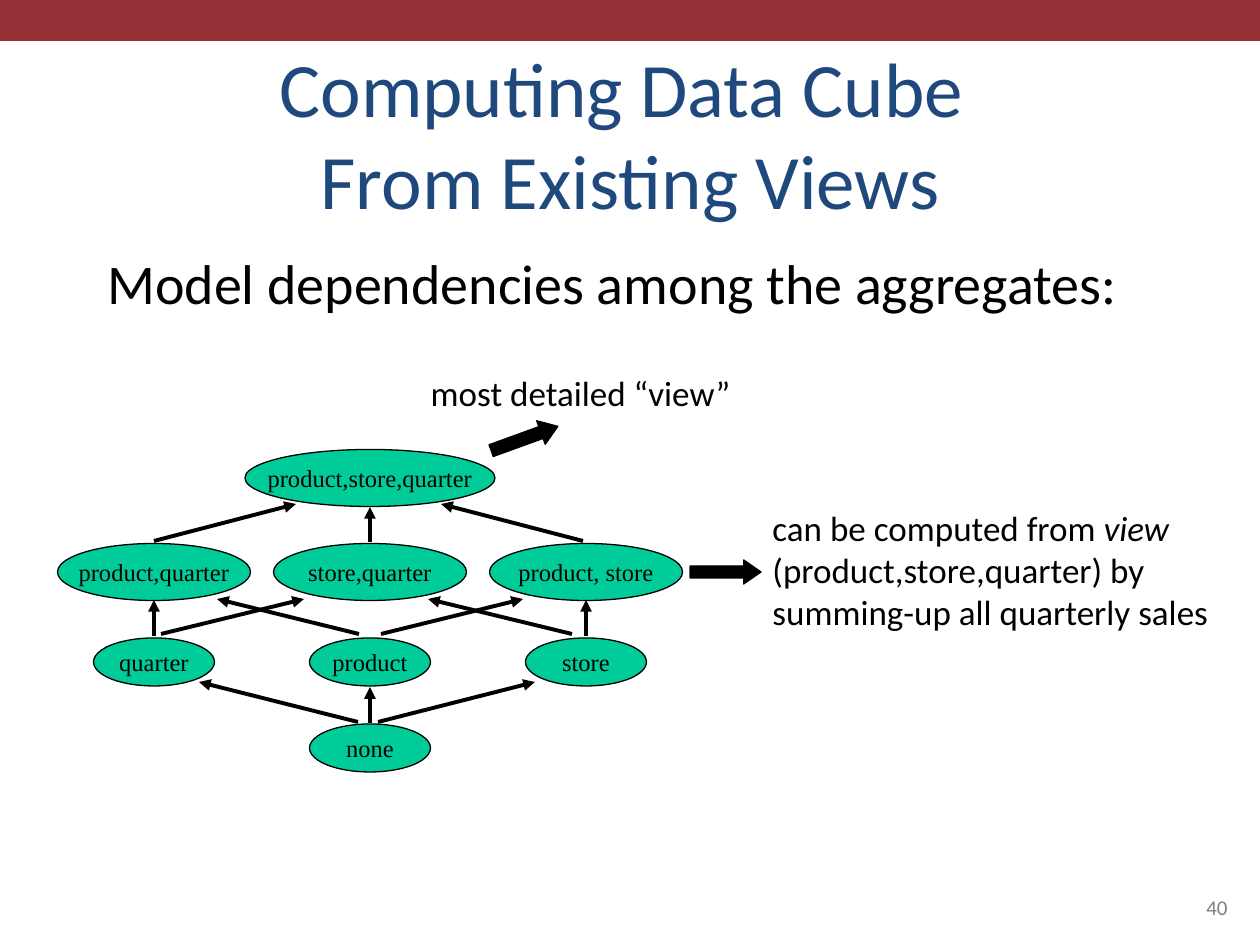
from dataclasses import dataclass

from lxml import etree
from pptx import Presentation
from pptx.dml.color import RGBColor
from pptx.enum.shapes import MSO_CONNECTOR, MSO_SHAPE
from pptx.enum.text import MSO_ANCHOR, PP_ALIGN
from pptx.oxml.ns import qn
from pptx.util import Emu, Pt

STRAIGHT = MSO_CONNECTOR.STRAIGHT
RECTANGLE, ELLIPSE = MSO_SHAPE.RECTANGLE, MSO_SHAPE.OVAL
BLOCK_ARROW = MSO_SHAPE.RIGHT_ARROW
TOP, MIDDLE, BOTTOM = MSO_ANCHOR.TOP, MSO_ANCHOR.MIDDLE, MSO_ANCHOR.BOTTOM
LEFT, CENTER, RIGHT = PP_ALIGN.LEFT, PP_ALIGN.CENTER, PP_ALIGN.RIGHT
PX_PER_INCH = 126


def px(length):
    return Emu(round(length * 914400 / PX_PER_INCH))


@dataclass(frozen=True)
class Theme:
    banner: RGBColor = RGBColor(0x96, 0x32, 0x37)
    title: RGBColor = RGBColor(0x1F, 0x49, 0x7D)
    ink: RGBColor = RGBColor(0, 0, 0)
    muted: RGBColor = RGBColor(0x80, 0x80, 0x80)
    node: RGBColor = RGBColor(0, 0xCC, 0x99)
    sans: str = "Calibri"
    serif: str = "Times New Roman"
    title_size: int = 44
    body_size: int = 32
    label_size: int = 20
    node_size: int = 14
    page_size: int = 12
    outline: float = 0.75
    arrow: float = 2.25


class SlideBuilder:
    def __init__(self, slide, theme):
        self.slide = slide
        self.theme = theme

    def style_span(self, span, size, color, font):
        span.font.size = Pt(size)
        span.font.name = font
        span.font.color.rgb = color

    def text(self, bounds, spans, size, color, align=LEFT, anchor=TOP, wrap=True):
        """Add a one-paragraph text box; spans is a list of (words, italic)."""
        box = self.slide.shapes.add_textbox(*map(px, bounds))
        frame = box.text_frame
        frame.word_wrap = wrap
        frame.vertical_anchor = anchor
        para = frame.paragraphs[0]
        para.alignment = align
        para.text = spans[0][0]
        for words, _ in spans[1:]:
            para.add_run().text = words
        for span in para.runs:
            self.style_span(span, size, color, self.theme.sans)
            span.font.italic = (span.text, True) in spans

    def shape(self, kind, bounds, fill, outlined=True):
        shape = self.slide.shapes.add_shape(kind, *map(px, bounds))
        shape.shadow.inherit = False
        shape.fill.solid()
        shape.fill.fore_color.rgb = fill
        if outlined:
            shape.line.color.rgb = self.theme.ink
            shape.line.width = Pt(self.theme.outline)
        else:
            shape.line.fill.background()
        return shape

    def node(self, name, center_x, center_y, width, height):
        bounds = (center_x - width / 2, center_y - height / 2, width, height)
        frame = self.shape(ELLIPSE, bounds, self.theme.node).text_frame
        frame.word_wrap = False
        frame.vertical_anchor = MIDDLE
        para = frame.paragraphs[0]
        para.text = name
        para.alignment = CENTER
        self.style_span(para.runs[0], self.theme.node_size, self.theme.ink,
                        self.theme.serif)

    def block_arrow(self, bounds, rotation=0):
        arrow = self.shape(BLOCK_ARROW, bounds, self.theme.ink)
        arrow.adjustments[1] = 0.72
        arrow.rotation = rotation

    def arrow(self, start, end):
        line = self.slide.shapes.add_connector(STRAIGHT, *map(px, start + end))
        line.line.color.rgb = self.theme.ink
        line.line.width = Pt(self.theme.arrow)
        etree.SubElement(line.line._get_or_add_ln(), qn("a:tailEnd"), type="triangle")
        etree.SubElement(line._element.spPr, qn("a:effectLst"))


def draw_lattice(page):
    columns = [370 + offset for offset in (-216, 0, 216)]
    left, middle, right = columns

    page.node("product,store,quarter", middle, 478, 250, 57)
    for center_x, pair, single in zip(
        columns,
        ("product,quarter", "store,quarter", "product, store"),
        ("quarter", "product", "store"),
    ):
        page.node(pair, center_x, 572, 193, 57)
        page.node(single, center_x, 662, 121, 48)
    page.node("none", middle, 748, 121, 48)

    # Each level: start y, end y, and the (start x, end x) of its diagonals.
    diagonals = [
        (722, 682, [(358, 199), (378, 535)]),
        (634, 599, [(161, 304), (359, 217), (381, 523), (572, 428)]),
        (541, 504, [(154, 296), (583, 441)]),
    ]
    for start_y, end_y, spans in diagonals:
        for start_x, end_x in spans:
            page.arrow((start_x, start_y), (end_x, end_y))

    for x, start_y, end_y in [(middle, 723, 687), (left, 636, 600),
                              (right, 636, 600), (middle, 542, 507)]:
        page.arrow((x, start_y), (x, end_y))


def main():
    deck = Presentation()
    deck.slide_width, deck.slide_height = px(1260), px(945)
    theme = Theme()
    page = SlideBuilder(deck.slides.add_slide(deck.slide_layouts[6]), theme)

    page.shape(RECTANGLE, (0, 0, 1260, 41), theme.banner, outlined=False)
    page.text((95, 95, 1071, 136),
              [("Computing Data Cube \vFrom Existing Views", False)],
              theme.title_size, theme.title, CENTER, BOTTOM)
    page.text((95, 242, 1071, 598),
              [("Model dependencies among the aggregates:", False)],
              theme.body_size, theme.ink)
    page.text((416, 365, 327, 55), [("most detailed “view”", False)],
              theme.label_size, theme.ink, RIGHT, wrap=False)
    page.text((760, 500, 475, 139),
              [("can be computed from ", False), ("view", True),
               (" (product,store,quarter) by summing-up all quarterly sales", False)],
              theme.label_size, theme.ink)

    draw_lattice(page)
    page.block_arrow((489, 426, 71, 25), rotation=-20)
    page.block_arrow((690, 560, 71, 24))
    page.text((903, 861, 337, 65), [("40", False)],
              theme.page_size, theme.muted, RIGHT, BOTTOM)

    deck.save("out.pptx")


if __name__ == "__main__":
    main()
